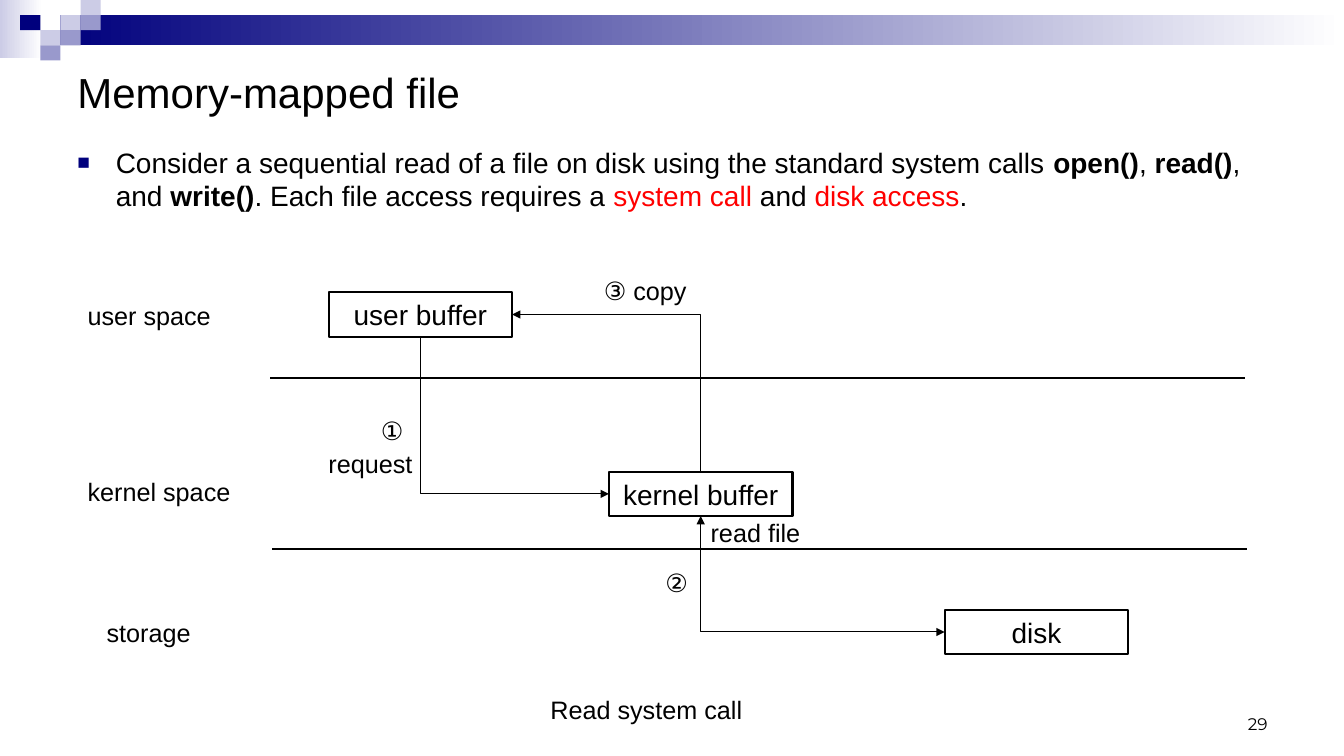
from lxml.etree import SubElement
from pptx import Presentation
from pptx.dml.color import RGBColor
from pptx.enum.shapes import MSO_CONNECTOR, MSO_SHAPE
from pptx.enum.text import MSO_ANCHOR, PP_ALIGN
from pptx.oxml.ns import qn
from pptx.util import Inches, Pt

BLACK, NAVY, RED, WHITE = "000000", "00007D", "FF0000", "FFFFFF"
LAVENDER, PERIWINKLE = "CCCCE6", "9999CC"


def color(value):
    return RGBColor.from_string(value)


class SlideBuilder:
    font = "Arial"
    ink = BLACK

    def __init__(self, slide):
        self.slide = slide

    def style(self, font, size, ink=None, bold=False, name=None):
        font.name = name or self.font
        font.size = Pt(size)
        font.bold = bold
        font.color.rgb = color(ink or self.ink)

    def rectangle(self, left, top, width, height):
        shape = self.slide.shapes.add_shape(
            MSO_SHAPE.RECTANGLE, Inches(left), Inches(top), Inches(width), Inches(height))
        shape.shadow.inherit = False
        return shape

    def tile(self, left, top, width, height, fill):
        shape = self.rectangle(left, top, width, height)
        shape.line.fill.background()
        shape.fill.solid()
        shape.fill.fore_color.rgb = color(fill)

    def fade(self, left, top, width, height, start):
        shape = self.rectangle(left, top, width, height)
        shape.line.fill.background()
        shape.fill.gradient()
        shape.fill.gradient_angle = 0
        for stop, value in zip(shape.fill.gradient_stops, (start, WHITE)):
            stop.color.rgb = color(value)

    def node(self, text, left, top):
        shape = self.rectangle(left, top, 1.82, 0.44)
        shape.fill.background()
        shape.line.color.rgb = color(self.ink)
        shape.line.width = Pt(1.5)
        frame = shape.text_frame
        frame.text = text
        frame.vertical_anchor = MSO_ANCHOR.MIDDLE
        para = frame.paragraphs[0]
        para.alignment = PP_ALIGN.CENTER
        self.style(para.runs[0].font, 20)
        return shape

    def text(self, text, left, top, width, height=0.4, size=18, wrap=False,
             anchor=MSO_ANCHOR.TOP, align=PP_ALIGN.LEFT, name=None):
        box = self.slide.shapes.add_textbox(
            Inches(left), Inches(top), Inches(width), Inches(height))
        frame = box.text_frame
        frame.text = text
        frame.word_wrap = wrap
        frame.vertical_anchor = anchor
        para = frame.paragraphs[0]
        para.alignment = align
        self.style(para.runs[0].font, size, name=name)

    def bullet(self, spans, left, top, width, height):
        box = self.slide.shapes.add_textbox(
            Inches(left), Inches(top), Inches(width), Inches(height))
        box.text_frame.word_wrap = True
        para = box.text_frame.paragraphs[0]
        properties = para._p.get_or_add_pPr()
        properties.set("marL", str(Inches(0.38)))
        properties.set("indent", str(-Inches(0.38)))
        bullet_color = SubElement(properties, qn("a:buClr"))
        SubElement(bullet_color, qn("a:srgbClr"), val=NAVY)
        SubElement(properties, qn("a:buSzPct"), val="75000")
        SubElement(properties, qn("a:buFont"), typeface=self.font)
        SubElement(properties, qn("a:buChar"), char="■")
        for text, ink, bold in spans:
            span = para.add_run()
            span.text = text
            self.style(span.font, 20, ink, bold)

    def connector(self, kind, start, end, width):
        line = self.slide.shapes.add_connector(
            kind, *(Inches(value) for value in (*start, *end)))
        line.line.color.rgb = color(self.ink)
        line.line.width = Pt(width)
        SubElement(line._element.spPr, qn("a:effectLst"))
        return line

    def divider(self, left, top):
        self.connector(MSO_CONNECTOR.STRAIGHT, (left, top), (left + 9.67, top), 1.5)

    def corner_arrow(self, source, source_side, target, target_side, ends):
        arrow = self.connector(MSO_CONNECTOR.ELBOW, (0, 0), (1, 1), 0.75)
        arrow.begin_connect(source, source_side)
        arrow.end_connect(target, target_side)
        arrow._element.spPr.find(qn("a:prstGeom")).set("prst", "bentConnector2")
        outline = arrow.line._get_or_add_ln()
        for end in ends:
            SubElement(outline, qn(f"a:{end}"), type="triangle")


def main():
    deck = Presentation()
    deck.slide_width, deck.slide_height = Inches(13.33), Inches(7.5)
    page = SlideBuilder(deck.slides.add_slide(deck.slide_layouts[6]))

    page.fade(0, 0, 0.42, 0.58, LAVENDER)
    page.fade(0.6, 0.15, 12.73, 0.3, NAVY)
    for column, row, fill in (
        (3, 1, LAVENDER), (4, 0, LAVENDER), (4, 1, PERIWINKLE), (2, 2, LAVENDER),
        (1, 1, NAVY), (3, 2, PERIWINKLE), (2, 3, PERIWINKLE),
    ):
        page.tile(column * 0.2, row * 0.15, 0.2, 0.15, fill)

    page.text("Memory-mapped file", 0.67, 0.5, 12, 0.81, size=30, wrap=True,
              anchor=MSO_ANCHOR.MIDDLE)
    page.bullet((
        ("Consider a sequential read of a file on disk using the standard system calls ",
         BLACK, False),
        ("open()", BLACK, True),
        (", ", BLACK, False),
        ("read()", BLACK, True),
        (", and ", BLACK, False),
        ("write()", BLACK, True),
        (". Each file access requires a ", BLACK, False),
        ("system call ", RED, False),
        ("and ", BLACK, False),
        ("disk access", RED, False),
        (".", BLACK, False),
    ), 0.67, 1.39, 12, 1)

    page.divider(2.68, 3.75)
    page.divider(2.7, 5.45)

    user_buffer = page.node("user buffer", 3.26, 2.9)
    kernel_buffer = page.node("kernel buffer", 6.04, 4.68)
    disk = page.node("disk", 9.37, 6.05)
    page.corner_arrow(kernel_buffer, 1, user_buffer, 2, ["headEnd"])
    page.corner_arrow(disk, 1, kernel_buffer, 2, ["headEnd", "tailEnd"])
    page.corner_arrow(user_buffer, 3, kernel_buffer, 0, ["headEnd"])

    for text, left, top, width in (
        ("user space", 0.77, 2.93, 1.44),
        ("kernel space", 0.77, 4.68, 1.63),
        ("storage", 0.96, 6.08, 1.04),
        ("①", 3.68, 4.07, 0.45),
        ("request", 3.16, 4.4, 1.04),
        ("②", 6.5, 5.58, 0.45),
        ("read file", 6.95, 5.08, 1.1),
        ("③ copy", 5.89, 2.68, 1.06),
        ("Read system call", 5.36, 6.84, 2.12),
    ):
        page.text(text, left, top, width)

    page.text("29", 9.56, 6.83, 3.11, 0.5, size=12, wrap=True,
              anchor=MSO_ANCHOR.BOTTOM, align=PP_ALIGN.RIGHT, name="Montserrat")
    deck.save("out.pptx")


if __name__ == "__main__":
    main()
